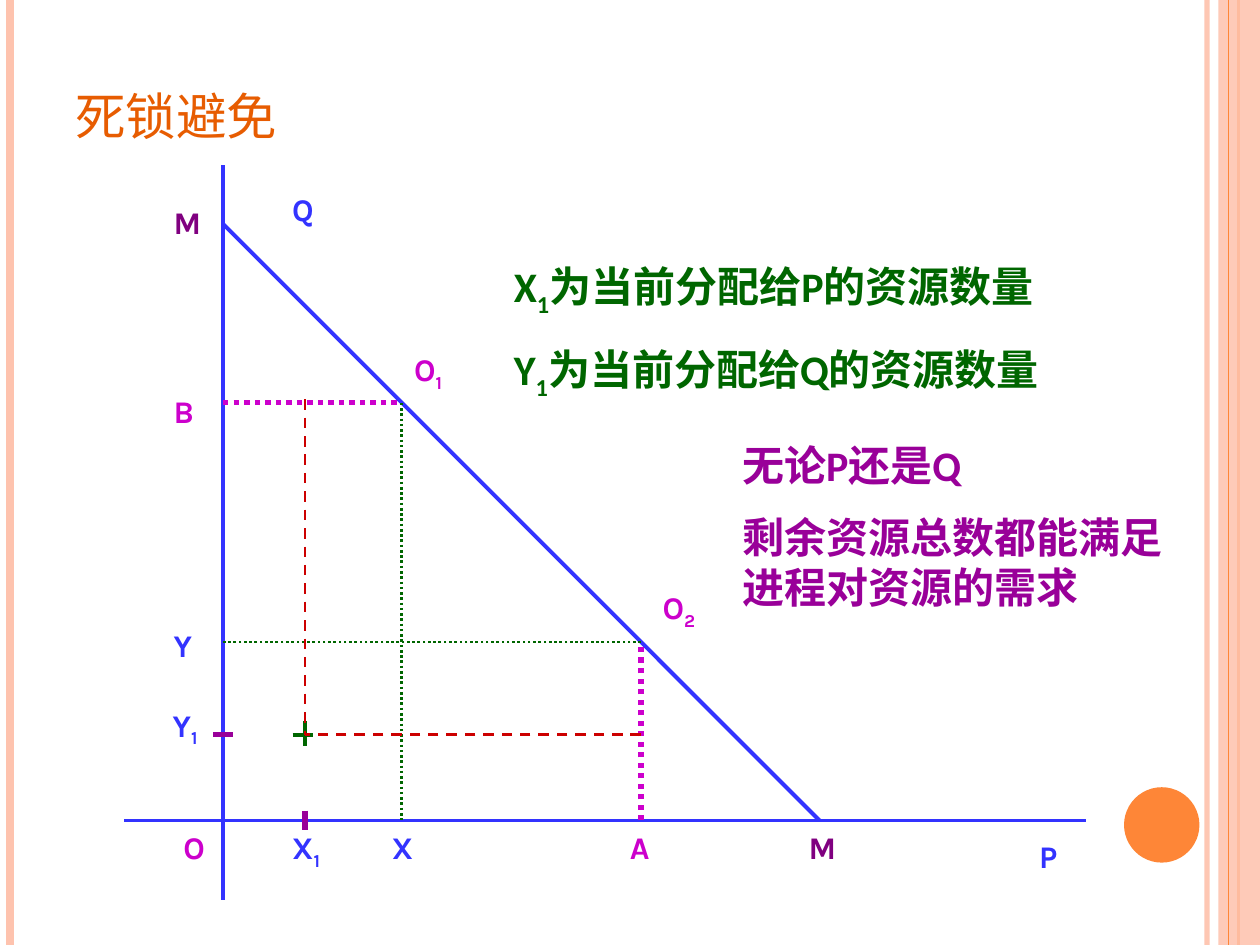
from pptx import Presentation
from pptx.dml.color import RGBColor
from pptx.enum.dml import MSO_LINE_DASH_STYLE as Dash
from pptx.enum.shapes import MSO_CONNECTOR as Connector, MSO_SHAPE as Shape
from pptx.enum.text import MSO_ANCHOR as Anchor, PP_ALIGN as Align
from pptx.oxml.ns import qn
from pptx.util import Cm, Pt
from lxml.etree import SubElement

BLUE = RGBColor(0x33, 0x33, 0xFF)
MAGENTA = RGBColor(0xCC, 0x00, 0xCC)
PURPLE = RGBColor(0x80, 0x00, 0x80)
VIOLET = RGBColor(0x99, 0x00, 0x99)
GREEN = RGBColor(0x00, 0x66, 0x00)
RED = RGBColor(0xCC, 0x00, 0x00)
ORANGE = RGBColor(0xFE, 0x86, 0x37)
PEACH = RGBColor(0xFE, 0xC3, 0xAE)
TITLE_COLOUR = RGBColor(0xE7, 0x5C, 0x01)

CJK_FONT = "Noto Sans CJK SC"
WIDTH, HEIGHT = 25.4, 19.05


def set_alpha(element, percent):
    """Make the solid colour inside an element partly transparent."""
    colour = next(element.iter(qn("a:srgbClr")))
    SubElement(colour, qn("a:alpha")).set("val", str(percent * 1000))


def add_line(slide, start, end, colour, width, dash=None, alpha=None):
    """Draw a straight line between two points given in centimetres."""
    line = slide.shapes.add_connector(
        Connector.STRAIGHT, *(Cm(value) for value in (*start, *end)))
    line.line.color.rgb = colour
    line.line.width = Pt(width)
    if dash:
        line.line.dash_style = dash
    properties = line.element.spPr
    if alpha:
        set_alpha(properties, alpha)
    SubElement(properties, qn("a:effectLst"))


def add_filled(slide, kind, box, colour, alpha=None):
    """Draw a filled shape without an outline."""
    shape = slide.shapes.add_shape(kind, *map(Cm, box))
    shape.shadow.inherit = False
    shape.fill.solid()
    shape.fill.fore_color.rgb = colour
    shape.line.fill.background()
    if alpha:
        set_alpha(shape.element.spPr, alpha)


def add_text(slide, box, paragraphs, colour, font, wrap=True, anchor=Anchor.TOP):
    """Write paragraphs, each a list of (text, is_subscript) pairs."""
    frame = slide.shapes.add_textbox(*map(Cm, box)).text_frame
    frame.word_wrap = wrap
    frame.vertical_anchor = anchor
    for index, pieces in enumerate(paragraphs):
        paragraph = frame.paragraphs[0] if index == 0 else frame.add_paragraph()
        paragraph.alignment = Align.LEFT
        if index:
            paragraph.space_before = Pt(12)
        for text, is_subscript in pieces:
            run = paragraph.add_run()
            run.text = text
            for name, value in font.items():
                setattr(run.font, name, value)
            run.font.color.rgb = colour
            properties = run.font._element
            SubElement(properties, qn("a:ea")).set("typeface", CJK_FONT)
            if is_subscript:
                properties.set("baseline", "-25000")
    return frame


def draw_border(slide, width, height):
    """Draw the stripes at both edges and the disc at the lower right."""
    def stripe(x, *style, **options):
        add_line(slide, (x, 0), (x, height), *style, **options)

    stripe(width - 1.07, PEACH, 3, alpha=93)
    stripe(0.2, PEACH, 4.5)
    stripe(width - 0.43, ORANGE, 1.5)
    add_filled(slide, Shape.RECTANGLE, (width - 0.84, 0, 0.84, height), PEACH, 87)
    stripe(width - 0.64, ORANGE, 0.75)
    add_filled(slide, Shape.OVAL, (width - 2.74, height - 3.18, 1.52, 1.52), ORANGE)


def draw_title(slide, box):
    """Write the title at the bottom of its box."""
    font = {"name": CJK_FONT, "size": Pt(36)}
    frame = add_text(slide, box, [[("死锁避免", False)]], TITLE_COLOUR, font,
                     anchor=Anchor.BOTTOM)
    frame.paragraphs[0].runs[0].font._element.set("cap", "small")


def draw_diagram(slide, origin_x, origin_y):
    """Draw the resource diagram; x runs right and y up from the origin."""
    total, near = 12.02, 3.6
    far = total - near
    x1, y1 = 1.65, 1.73

    def point(x, y):
        return origin_x + x, origin_y - y

    lines = [
        ((-2, 0), (17.4, 0), BLUE, 2.25, None),
        ((0, 13.21), (0, -1.6), BLUE, 2.25, None),
        ((0, total), (total, 0), BLUE, 2.25, None),
        ((0, far), (near, far), MAGENTA, 3, Dash.ROUND_DOT),
        ((near, far), (near, 0), GREEN, 1.5, Dash.ROUND_DOT),
        ((far, 0), (far, near), MAGENTA, 3, Dash.ROUND_DOT),
        ((far, near), (0, near), GREEN, 1.5, Dash.ROUND_DOT),
        ((x1, 0.2), (x1, -0.2), VIOLET, 3, None),
        ((-0.2, y1), (0.2, y1), VIOLET, 3, None),
        ((x1 - 0.25, y1), (x1 + 0.15, y1), GREEN, 2.25, None),
        ((x1, y1 + 0.27), (x1, y1 - 0.23), GREEN, 2.25, None),
        ((far, y1), (x1, y1), RED, 1.5, Dash.DASH),
        ((x1, far + 0.07), (x1, y1), RED, 1.5, Dash.DASH),
    ]
    for start, end, *style in lines:
        add_line(slide, point(*start), point(*end), *style)

    labels = [
        ("O", "", -1.05, -0.02, 0.99, MAGENTA),
        ("X", "1", 1.14, -0.02, 1.22, BLUE),
        ("X", "", 3.15, -0.02, 0.94, BLUE),
        ("A", "", 7.95, -0.02, 0.94, MAGENTA),
        ("M", "", 11.55, -0.02, 1.09, PURPLE),
        ("P", "", 16.2, -0.2, 0.94, BLUE),
        ("M", "", -1.25, 12.58, 1.09, PURPLE),
        ("Q", "", 1.14, 12.83, 1.02, BLUE),
        ("B", "", -1.25, 8.77, 0.94, MAGENTA),
        ("Y", "", -1.25, 4.04, 0.94, BLUE),
        ("Y", "1", -1.27, 2.44, 1.22, BLUE),
        ("O", "1", 3.6, 9.61, 1.27, MAGENTA),
        ("O", "2", 8.61, 4.81, 1.27, MAGENTA),
    ]
    font = {"name": "Karla", "size": Pt(18), "bold": True}
    for letter, subscript, x, y, width, colour in labels:
        pieces = [(letter, False)] + ([(subscript, True)] if subscript else [])
        add_text(slide, (*point(x, y), width, 1.02), [pieces], colour, font, wrap=False)


def draw_notes(slide, left, top):
    """Write the two definitions and the conclusion below them."""
    font = {"name": "Calibri", "size": Pt(24), "bold": True}
    for row, (axis, process) in enumerate(("XP", "YQ")):
        pieces = [(axis, False), ("1", True), (f"为当前分配给{process}的资源数量", False)]
        add_text(slide, (left, top + row * 1.68, 14.4, 1.27), [pieces], GREEN, font)
    conclusion = ["无论P还是Q", "剩余资源总数都能满足进程对资源的需求"]
    add_text(slide, (left + 4.6, top + 3.61, 9.4, 3.84),
             [[(text, False)] for text in conclusion], VIOLET, font)


presentation = Presentation()
presentation.slide_width, presentation.slide_height = Cm(WIDTH), Cm(HEIGHT)
slide = presentation.slides.add_slide(presentation.slide_layouts[6])
draw_border(slide, WIDTH, HEIGHT)
draw_diagram(slide, 4.5, 16.54)
draw_notes(slide, 10.11, 5.13)
draw_title(slide, (1.27, 0.76, 20.75, 2.36))
presentation.save("out.pptx")
